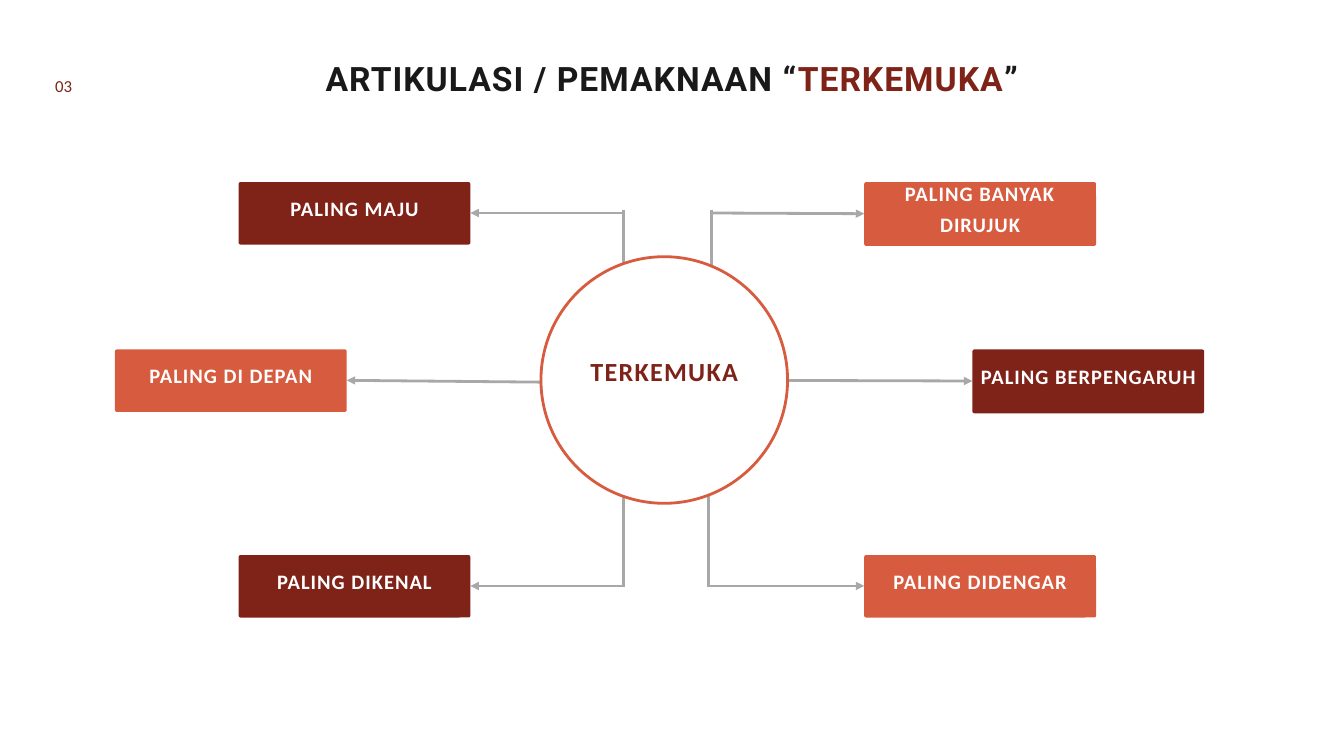
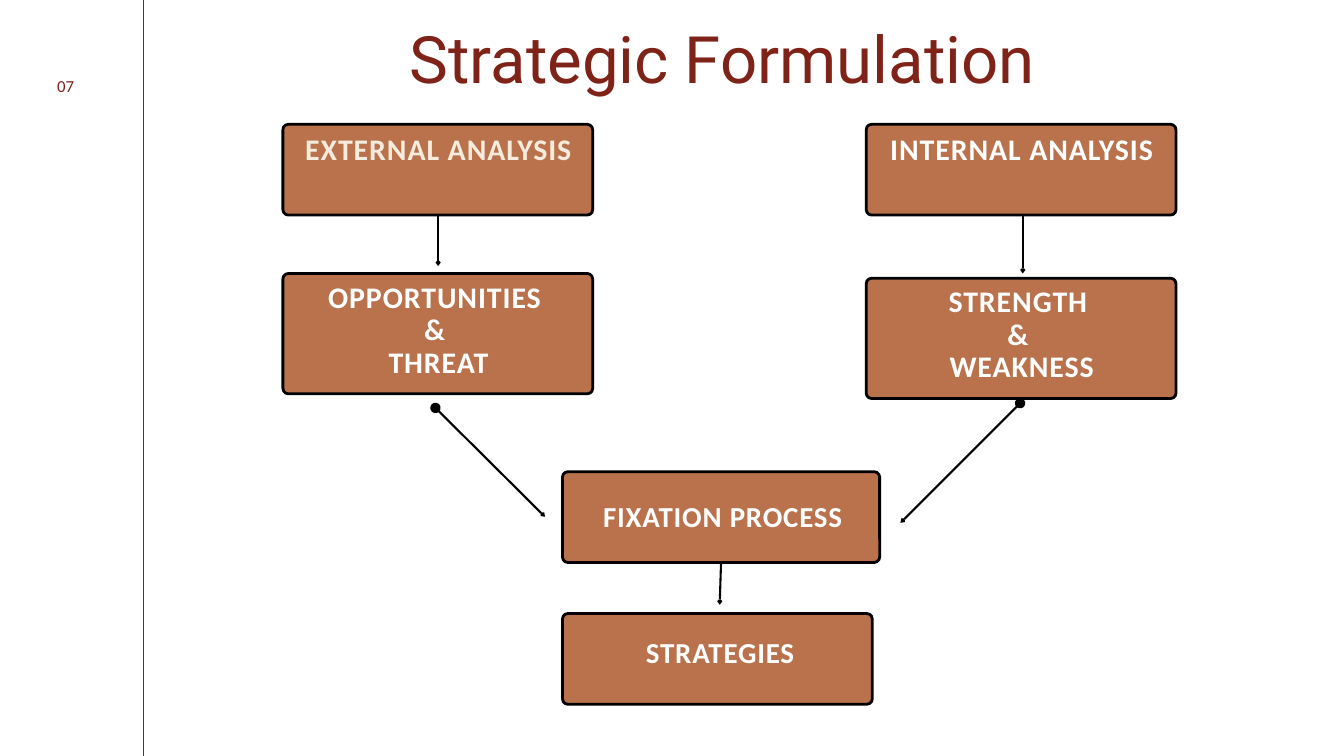
from pptx import Presentation
from pptx.dml.color import RGBColor
from pptx.enum.shapes import MSO_CONNECTOR, MSO_SHAPE
from pptx.enum.text import MSO_ANCHOR, PP_ALIGN
from pptx.oxml.ns import qn
from pptx.util import Inches, Pt
from lxml.etree import SubElement

COLORS = {
    "maroon": "7F2218", "coral": "D75B3F", "clay": "B9724B", "cream": "F6ECDE",
    "gray": "A8A8A8", "ink": "191919", "black": "000000", "white": "FFFFFF",
}
SLIDE_WIDTH, SLIDE_HEIGHT = 20, 11.25
END_SIZES = {"triangle": "med", "arrow": "sm", "oval": "lg"}

# Meaning map: label, left, row, height, fill
ROWS = {"top": 2.71, "middle": 5.2, "bottom": 8.26}
MEANING_WIDTH, TEXT_LIFT = 3.45, 0.24
MEANINGS = [
    ("PALING BANYAK DIRUJUK", 12.86, "top", 0.95, "coral"),
    ("PALING BERPENGARUH", 14.47, "middle", 0.95, "maroon"),
    ("PALING DIDENGAR", 12.86, "bottom", 0.93, "coral"),
    ("PALING DIKENAL", 3.55, "bottom", 0.93, "maroon"),
    ("PALING MAJU", 3.55, "top", 0.93, "maroon"),
    ("PALING DI DEPAN", 1.71, "middle", 0.93, "coral"),
]
# Start and end points; every arrowhead sits at the end
SPOKES = [
    ((9.28, 3.17), (7, 3.17)), ((10.59, 3.17), (12.86, 3.18)),
    ((8.41, 5.69), (5.16, 5.66)), ((11.25, 5.66), (14.47, 5.67)),
    ((9.28, 8.72), (7, 8.72)), ((10.56, 8.72), (12.86, 8.72)),
]
STEMS = [
    ((9.28, 4.94), (9.28, 3.13)), ((10.59, 4.89), (10.59, 3.13)),
    ((9.28, 8.73), (9.28, 7.37)), ((10.54, 8.73), (10.54, 7.37)),
]

# Strategy flow: lines of text, box area, text area, size, text colour
LEFT, RIGHT, CENTER = 4.21, 12.89, 8.37
STEP_WIDTH, STEP_HEIGHT, PAIR_HEIGHT, LABEL_WIDTH = 4.61, 1.35, 1.79, 4.69
STEPS = [
    (["EXTERNAL ANALYSIS"], (LEFT, 1.85, STEP_WIDTH, STEP_HEIGHT),
     (4.18, 2, LABEL_WIDTH, 0.97), 32, "cream"),
    (["OPPORTUNITIES ", "& ", "THREAT"], (LEFT, 4.07, STEP_WIDTH, PAIR_HEIGHT),
     (4.18, 4.19, LABEL_WIDTH, 1.44), 32, "white"),
    (["INTERNAL ANALYSIS"], (RIGHT, 1.85, STEP_WIDTH, STEP_HEIGHT),
     (12.86, 2, LABEL_WIDTH, 0.97), 32, "white"),
    (["STRENGTH ", "& ", "WEAKNESS"], (RIGHT, 4.14, STEP_WIDTH, PAIR_HEIGHT),
     (12.86, 4.26, LABEL_WIDTH, 1.44), 32, "white"),
    (["STRATEGIES"], (CENTER, 9.13, STEP_WIDTH, STEP_HEIGHT),
     (8.37, 9.49, LABEL_WIDTH, 0.47), 31, "white"),
    (["FIXATION PROCESS"], (CENTER, 7.02, 4.72, STEP_HEIGHT),
     (8.41, 7.47, LABEL_WIDTH, 0.47), 31, "white"),
]
STEP_SPACING = {32: (34.9, 1), 31: (33.8, 0.9)}
FLOW_ARROWS = [
    ((6.52, 2.9), (6.52, 3.96), None), ((15.22, 3.01), (15.22, 4.07), None),
    ((10.73, 7.84), (10.71, 9), None),
    ((6.48, 6.07), (8.11, 7.69), "oval"), ((15.18, 6), (13.4, 7.78), "oval"),
]


def color(name):
    return RGBColor.from_string(COLORS[name])


def add_text(page, area, lines, size, leading, font="Calibri", bold=False,
             tracking=0, inset=0, anchor=MSO_ANCHOR.TOP):
    """Add centred text; each line is a list of (wording, colour name) spans."""
    frame = page.shapes.add_textbox(*map(Inches, area)).text_frame
    frame.word_wrap = True
    frame.vertical_anchor = anchor
    frame.margin_left = frame.margin_right = Inches(inset)
    frame.margin_top = frame.margin_bottom = Inches(inset)
    for index, line in enumerate(lines):
        para = frame.add_paragraph() if index else frame.paragraphs[0]
        para.alignment = PP_ALIGN.CENTER
        para.line_spacing = Pt(leading)
        for wording, name in line:
            span = para.add_run()
            span.text = wording
            span.font.name, span.font.size, span.font.bold = font, Pt(size), bold
            span.font.color.rgb = color(name)
            if tracking:
                span._r.get_or_add_rPr().set("spc", str(round(tracking * 100)))


def add_box(page, kind, area, fill, outline=None, radius=None):
    box = page.shapes.add_shape(kind, *map(Inches, area))
    box.shadow.inherit = False
    box.fill.solid()
    box.fill.fore_color.rgb = color(fill)
    if outline:
        box.line.color.rgb = color(outline)
        box.line.width = Pt(3)
    else:
        box.line.fill.background()
    if radius:
        box.adjustments[0] = radius / min(area[2:])


def add_line(page, start, end, name, width, start_mark=None, end_mark=None):
    line = page.shapes.add_connector(MSO_CONNECTOR.STRAIGHT,
                                     *map(Inches, (*start, *end)))
    line.line.color.rgb = color(name)
    line.line.width = Pt(width)
    for tag, mark in (("a:headEnd", start_mark), ("a:tailEnd", end_mark)):
        if mark:
            SubElement(line.line._get_or_add_ln(), qn(tag), type=mark,
                       w=END_SIZES[mark], len=END_SIZES[mark])
    SubElement(line._element.spPr, qn("a:effectLst"))


def add_page(deck, number, number_left):
    page = deck.slides.add_slide(deck.slide_layouts[6])
    add_text(page, (number_left, 1.1, 0.31, 0.32), [[(number, "maroon")]], 18, 23.4)
    return page


def build_meaning_map(deck):
    page = add_page(deck, "03", 0.79)
    title = [("ARTIKULASI / PEMAKNAAN “", "ink"), ("TERKEMUKA", "maroon"), ("”", "ink")]
    add_text(page, (4.55, 0.8, 10.89, 1.29), [title], 36, 47.2,
             font="Roboto", bold=True, tracking=1.1)
    for start, end in SPOKES:
        add_line(page, start, end, "gray", 3, end_mark="triangle")
    for start, end in STEMS:
        add_line(page, start, end, "gray", 3)
    for label, left, row, height, fill in MEANINGS:
        top = ROWS[row]
        add_box(page, MSO_SHAPE.ROUNDED_RECTANGLE,
                (left, top, MEANING_WIDTH, height), fill, radius=0.03)
        add_text(page, (left, top - TEXT_LIFT, MEANING_WIDTH, height + TEXT_LIFT),
                 [[(label, "white")]], 22, 33, bold=True, tracking=1.1,
                 inset=0.06, anchor=MSO_ANCHOR.MIDDLE)
    add_box(page, MSO_SHAPE.OVAL, (8.05, 3.82, 3.67, 3.67), "white", "coral")
    add_text(page, (8.39, 3.78, 2.99, 3.37), [[("TERKEMUKA", "maroon")]], 28, 42,
             bold=True, tracking=1.4, inset=0.06, anchor=MSO_ANCHOR.MIDDLE)


def build_strategy_flow(deck):
    page = add_page(deck, "07", 0.82)
    add_line(page, (2.14, 0), (2.14, SLIDE_HEIGHT), "maroon", 0.75)
    add_text(page, (3.06, 0.27, 15.38, 1.16), [[("Strategic Formulation", "maroon")]],
             70, 84, font="Roboto")
    for lines, area, text_area, size, name in STEPS:
        leading, tracking = STEP_SPACING[size]
        add_box(page, MSO_SHAPE.ROUNDED_RECTANGLE, area, "clay", "black", radius=0.08)
        add_text(page, text_area, [[(line, name)] for line in lines], size, leading,
                 bold=True, tracking=tracking)
    for start, end, start_mark in FLOW_ARROWS:
        # Straight drops begin at the lower edge of the box above them
        if not start_mark:
            edge = 8.37 if start[1] > 7 else 3.2
            start = (start[0], edge)
        add_line(page, start, end, "black", 2.25, start_mark, "arrow")


def main():
    deck = Presentation()
    deck.slide_width, deck.slide_height = Inches(SLIDE_WIDTH), Inches(SLIDE_HEIGHT)
    build_meaning_map(deck)
    build_strategy_flow(deck)
    deck.save("out.pptx")


if __name__ == "__main__":
    main()
